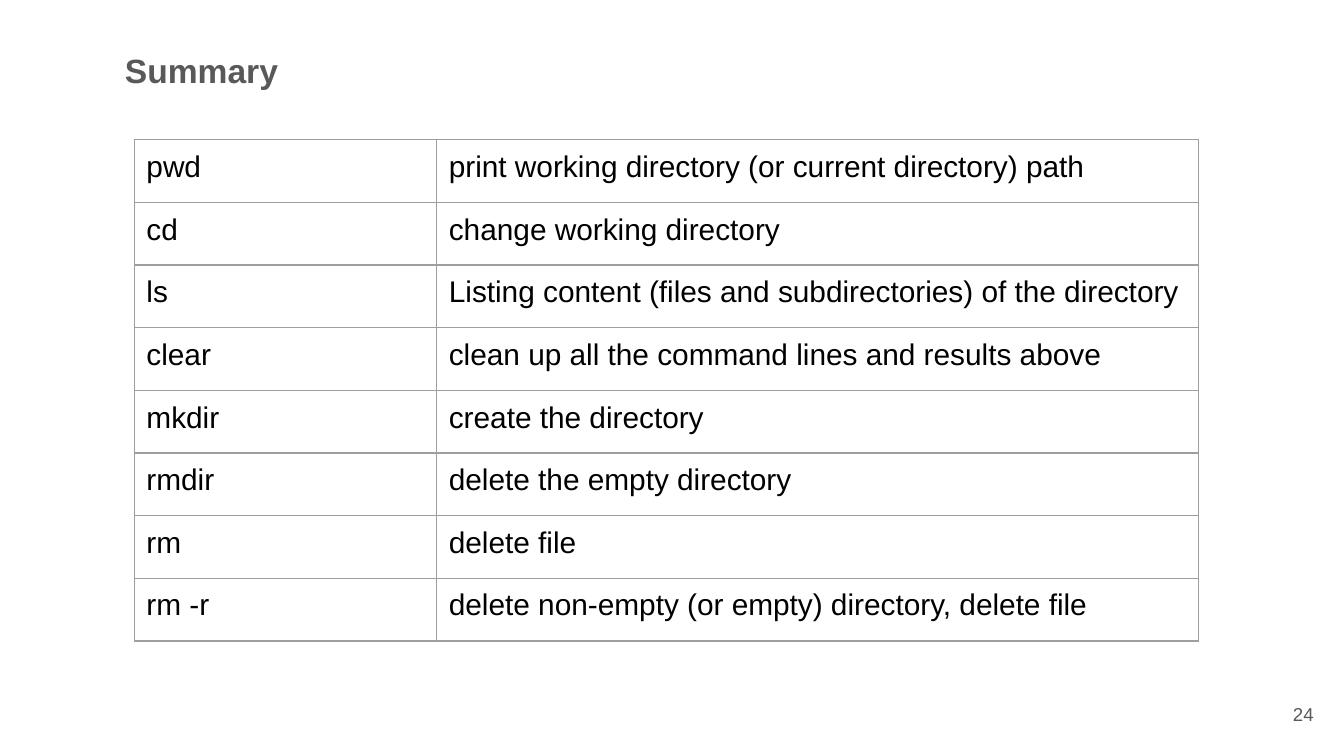
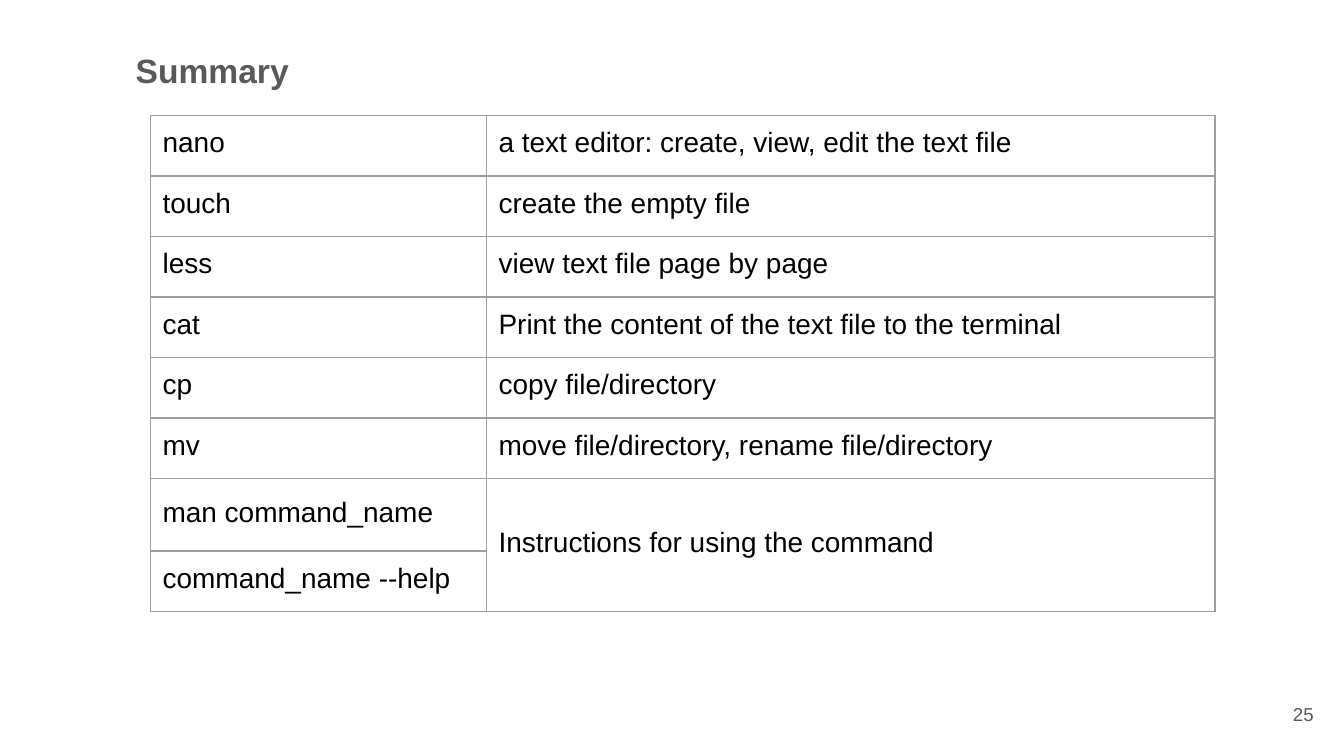
"""Build two summary slides of shell commands."""
from lxml import etree
from pptx import Presentation
from pptx import util as u
from pptx.dml.color import RGBColor
from pptx.enum import text as t
from pptx.oxml.ns import qn

WIDE = 10
HIGH = WIDE * 9 / 16
FONT, GREY, INK, EDGE = "Arial", "595959", "000000", "9E9E9E"
SPAN = 7.92
INDENT = 0.09

PAGES = [
    dict(
        title="Summary", num="24", left=0.92, at=(1, 1.04), first=2.25,
        size=16, top=0.08, rows=[3.73 / 8] * 8, pads={}, merge=[],
        cells=[
            ("pwd", "print working directory (or current directory) path"),
            ("cd", "change working directory"),
            ("ls", "Listing content (files and subdirectories) of the directory"),
            ("clear", "clean up all the command lines and results above"),
            ("mkdir", "create the directory"),
            ("rmdir", "delete the empty directory"),
            ("rm", "delete file"),
            ("rm -r", "delete non-empty (or empty) directory, delete file"),
        ],
    ),
    dict(
        title="Summary", num="25", left=1, at=(1.12, 0.86), first=2.5,
        size=15, top=0.09, rows=[0.45] * 6 + [0.54, 0.45],
        pads={(6, 0): 0.14, (6, 1): 0.36}, merge=[((6, 1), (7, 1))],
        cells=[
            ("nano", "a text editor: create, view, edit the text file"),
            ("touch", "create the empty file"),
            ("less", "view text file page by page"),
            ("cat", "Print the content of the text file to the terminal"),
            ("cp", "copy file/directory"),
            ("mv", "move file/directory, rename file/directory"),
            ("man command_name", "Instructions for using the command"),
            ("command_name --help",),
        ],
    ),
]


def color(code):
    return RGBColor.from_string(code)


def write(frame, words, size, ink, bold=False):
    frame.text = words
    para = frame.paragraphs[0]
    para.alignment = t.PP_ALIGN.LEFT
    font = para.font
    font.name, font.size, font.bold = FONT, u.Pt(size), bold
    font.color.rgb = color(ink)
    return para


def inset(item, left, top):
    item.margin_left, item.margin_top = u.Inches(left), u.Inches(top)
    item.margin_right = item.margin_bottom = 0
    item.vertical_anchor = t.MSO_ANCHOR.TOP


def place(shape, left, top, width, height):
    shape.left, shape.top = u.Inches(left), u.Inches(top)
    shape.width, shape.height = u.Inches(width), u.Inches(height)


def label(shape, box, words, size, pad, bold=False):
    place(shape, *box)
    frame = shape.text_frame
    inset(frame, *pad)
    frame.word_wrap = False
    frame.auto_size = t.MSO_AUTO_SIZE.NONE
    return write(frame, words, size, GREY, bold)


def border(cell):
    props = cell._tc.get_or_add_tcPr()
    for side in "LRTB":
        line = etree.SubElement(props, qn("a:ln" + side), w=str(u.Pt(0.75)))
        fill = etree.SubElement(line, qn("a:solidFill"))
        etree.SubElement(fill, qn("a:srgbClr"), val=EDGE)


def grid(slide, page):
    rows, cells = page["rows"], page["cells"]
    size = (SPAN, sum(rows))
    box = [u.Inches(v) for v in page["at"] + size]
    table = slide.shapes.add_table(len(rows), 2, *box).table
    table.first_row = table.horz_banding = False
    for col, width in zip(table.columns, (page["first"], SPAN - page["first"])):
        col.width = u.Inches(width)
    for row, height in zip(table.rows, rows):
        row.height = u.Inches(height)
    for cell in table.iter_cells():
        border(cell)
        cell.fill.background()
    for r, line in enumerate(cells):
        for c, words in enumerate(line):
            cell = table.cell(r, c)
            inset(cell, INDENT, page["pads"].get((r, c), page["top"]))
            write(cell.text_frame, words, page["size"], INK)
    for start, end in page["merge"]:
        table.cell(*start).merge(table.cell(*end))


def build(deck, page):
    slide = deck.slides.add_slide(deck.slide_layouts[5])
    box = (page["left"], 0.35, 1.17, 0.33)
    head = label(slide.shapes.title, box, page["title"], 18, (0.01, 0.02), True)
    head.space_before = u.Pt(1)
    foot = slide.shapes.add_textbox(0, 0, 0, 0)
    label(foot, (9.58, 5.23, 0.25, 0.18), page["num"], 10, (0.04, 0))
    grid(slide, page)


def main():
    deck = Presentation()
    deck.slide_width, deck.slide_height = u.Inches(WIDE), u.Inches(HIGH)
    for page in PAGES:
        build(deck, page)
    deck.save("out.pptx")


if __name__ == "__main__":
    main()
